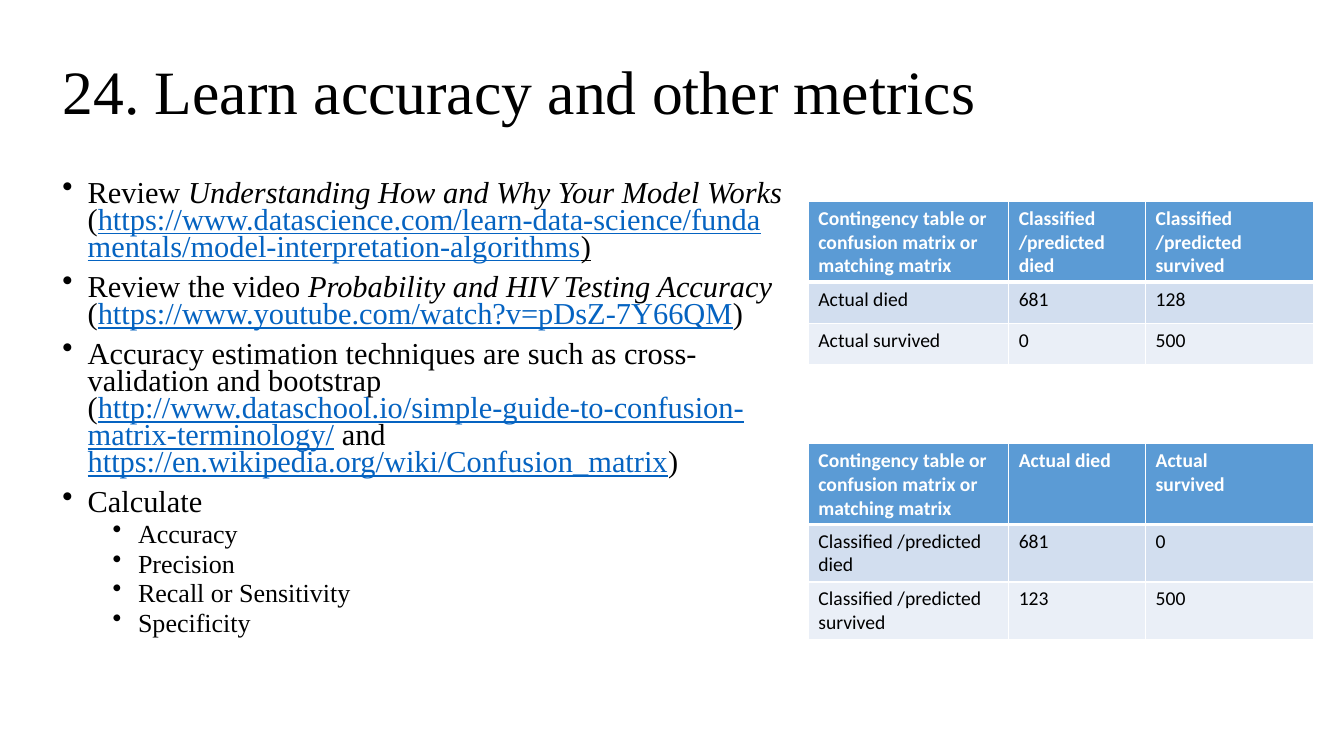
from lxml.etree import SubElement
from pptx import Presentation
from pptx.dml.color import RGBColor
from pptx.enum.text import MSO_ANCHOR, MSO_AUTO_SIZE, PP_ALIGN
from pptx.oxml.ns import qn
from pptx.util import Cm, Pt

SERIF, SANS = "Times New Roman", "Calibri"
BLACK, WHITE, LINK = "000000", "FFFFFF", "0563C1"
ROW_FILLS = ["5B9BD5", "D2DEEF", "EAEFF7"]
COLUMN_WIDTHS = [5.05, 3.45, 4.24]
CORNER = "Contingency table or confusion matrix or matching matrix"

BULLETS = [
    (0, [
        ("Review ", ""),
        ("Understanding How and Why Your Model Works ", "italic"),
        ("(", ""),
        ("https://www.datascience.com/learn-data-science/fundamentals/model-interpretation-algorithms", "link"),
        (")", "underline"),
    ]),
    (0, [
        ("Review the video ", ""),
        ("Probability and HIV Testing Accuracy", "italic"),
        (" (", ""),
        ("https://www.youtube.com/watch?v=pDsZ-7Y66QM", "link"),
        (")", ""),
    ]),
    (0, [
        ("Accuracy estimation techniques are such as cross-validation and bootstrap (", ""),
        ("http://www.dataschool.io/simple-guide-to-confusion-matrix-terminology/", "link"),
        (" and ", ""),
        ("https://en.wikipedia.org/wiki/Confusion_matrix", "link"),
        (")", ""),
    ]),
    (0, [("Calculate", "")]),
    (1, [("Accuracy", "")]),
    (1, [("Precision", "")]),
    (1, [("Recall or Sensitivity", "")]),
    (1, [("Specificity", "")]),
]

ACTUAL_BY_PREDICTED = [
    [CORNER, "Classified /predicted died", "Classified /predicted survived"],
    ["Actual died", "681", "128"],
    ["Actual survived", "0", "500"],
]
PREDICTED_BY_ACTUAL = [
    [CORNER, "Actual died", "Actual\nsurvived"],
    ["Classified /predicted died", "681", "0"],
    ["Classified /predicted survived", "123", "500"],
]


def colour(value):
    """Turn a hex string into a colour."""
    return RGBColor.from_string(value)


def add_run(paragraph, text, size, font_name, hex_colour=BLACK):
    """Add a formatted run and return its font."""
    run = paragraph.add_run()
    run.text = text
    font = run.font
    font.size, font.name = Pt(size), font_name
    font.color.rgb = colour(hex_colour)
    return font


def add_title(slide, left, top, width, height):
    """Place the slide title in its placeholder."""
    title = slide.shapes.title
    title.left, title.top, title.width, title.height = map(Cm, (left, top, width, height))
    frame = title.text_frame
    frame.word_wrap = True
    frame.auto_size = MSO_AUTO_SIZE.NONE
    frame.vertical_anchor = MSO_ANCHOR.MIDDLE
    paragraph = frame.paragraphs[0]
    paragraph.alignment = PP_ALIGN.LEFT
    paragraph.line_spacing = 0.9
    add_run(paragraph, "24. Learn accuracy and other metrics", 44, SERIF)


def add_bullets(slide, left, top, width, height):
    """Place the two-level list of tasks."""
    frame = slide.shapes.add_textbox(*map(Cm, (left, top, width, height))).text_frame
    frame.word_wrap = True
    for index, (level, runs) in enumerate(BULLETS):
        paragraph = frame.add_paragraph() if index else frame.paragraphs[0]
        paragraph.level = level
        paragraph.line_spacing = 0.74
        paragraph.space_before = Pt([9.5, 4.7][level] if index else 0)
        properties = paragraph._p.get_or_add_pPr()
        properties.set("marL", str(Cm([0.64, 1.91][level])))
        properties.set("indent", str(-Cm(0.64)))
        SubElement(properties, qn("a:buChar"), char="•")
        for text, style in runs:
            font = add_run(paragraph, text, [21.7, 18.6][level], SERIF, LINK if style == "link" else BLACK)
            font.italic = style == "italic"
            font.underline = style in ("link", "underline")


def add_borders(cell, top_width, bottom_width):
    """Draw white lines around a table cell."""
    properties = cell._tc.get_or_add_tcPr()
    for side, width in (("L", 1), ("R", 1), ("T", top_width), ("B", bottom_width)):
        line = SubElement(properties, qn(f"a:ln{side}"), w=str(Pt(width)))
        SubElement(SubElement(line, qn("a:solidFill")), qn("a:srgbClr"), val=WHITE)


def add_matrix(slide, left, top, row_heights, rows):
    """Place a confusion matrix with a header row."""
    size = (sum(COLUMN_WIDTHS), sum(row_heights))
    frame = slide.shapes.add_table(len(rows), len(COLUMN_WIDTHS), *map(Cm, (left, top, *size)))
    table = frame.table
    for column, width in zip(table.columns, COLUMN_WIDTHS):
        column.width = Cm(width)
    for row_index, (row, height) in enumerate(zip(rows, row_heights)):
        table.rows[row_index].height = Cm(height)
        header = row_index == 0
        for column_index, text in enumerate(row):
            cell = table.cell(row_index, column_index)
            add_borders(cell, 3 if row_index == 1 else 1, 3 if header else 1)
            cell.fill.solid()
            cell.fill.fore_color.rgb = colour(ROW_FILLS[row_index])
            for line_index, line in enumerate(text.split("\n")):
                text_frame = cell.text_frame
                paragraph = text_frame.add_paragraph() if line_index else text_frame.paragraphs[0]
                font = add_run(paragraph, line, 14, SANS, WHITE if header else BLACK)
                font.bold = header


def main():
    """Build the slide and save it."""
    presentation = Presentation()
    presentation.slide_width, presentation.slide_height = Cm(33.87), Cm(19.05)
    slide = presentation.slides.add_slide(presentation.slide_layouts[5])
    add_title(slide, 1.32, 0.53, 25.07, 3.68)
    add_bullets(slide, 1.32, 4.45, 18.67, 13.41)
    add_matrix(slide, 20.37, 5.08, [2.03, 1.04, 1.04], ACTUAL_BY_PREDICTED)
    add_matrix(slide, 20.37, 11.18, [2.03, 1.45, 1.45], PREDICTED_BY_ACTUAL)
    presentation.save("out.pptx")


if __name__ == "__main__":
    main()
